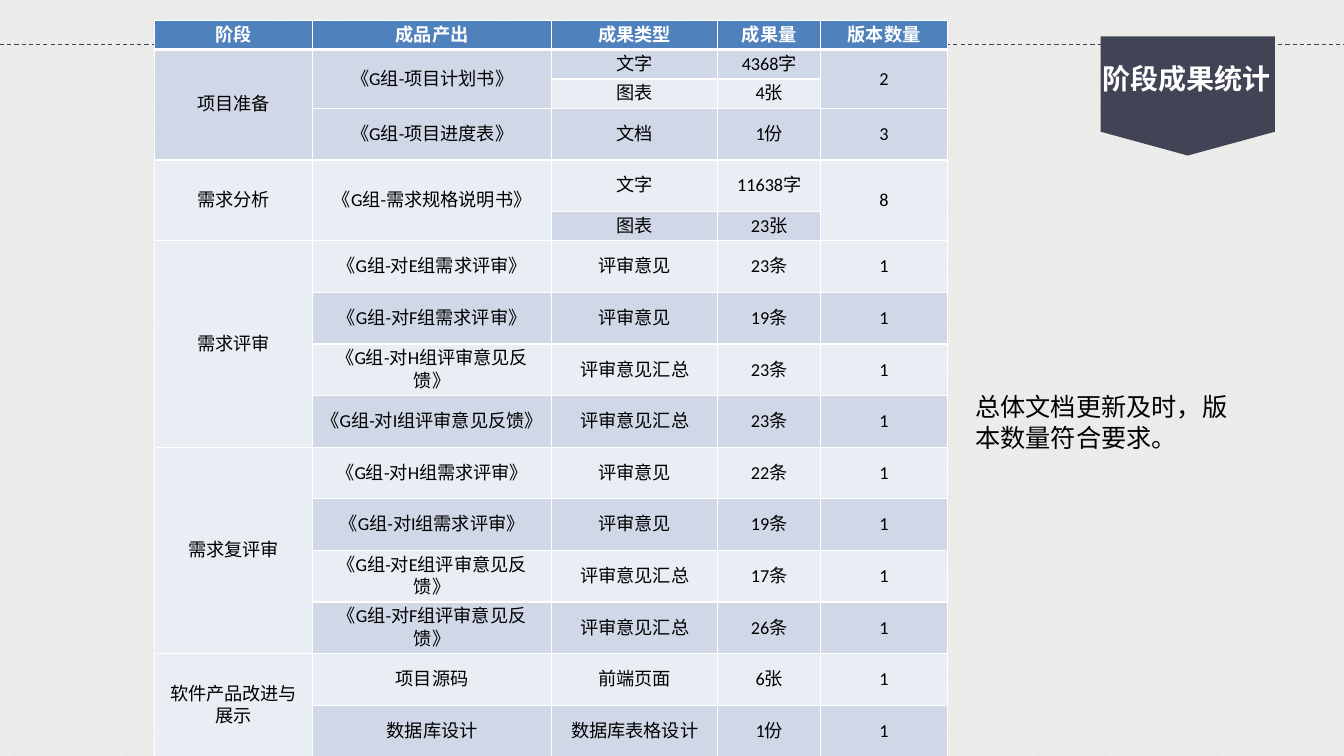
from lxml import etree
from pptx import Presentation
from pptx.dml.color import RGBColor
from pptx.enum.dml import MSO_LINE, MSO_PATTERN
from pptx.enum.shapes import MSO_CONNECTOR, MSO_SHAPE
from pptx.enum.text import MSO_ANCHOR, MSO_AUTO_SIZE, PP_ALIGN
from pptx.oxml.ns import qn
from pptx.util import Cm, Pt

DASH = MSO_LINE.DASH
STRIPES = MSO_PATTERN.LIGHT_UPWARD_DIAGONAL
STRAIGHT = MSO_CONNECTOR.STRAIGHT
BADGE = MSO_SHAPE.FLOWCHART_OFFPAGE_CONNECTOR
MIDDLE, TOP = MSO_ANCHOR.MIDDLE, MSO_ANCHOR.TOP
GROW = MSO_AUTO_SIZE.SHAPE_TO_FIT_TEXT
CENTER = PP_ALIGN.CENTER

TITLE = "阶段成果统计"
NOTE = "总体文档更新及时，版本数量符合要求。"
HEADER = ("阶段", "成品产出", "成果类型", "成果量", "版本数量")
# None continues the cell above
RESULTS = [
    ("项目准备", "《G组-项目计划书》", "文字", "4368字", "2"),
    (None, None, "图表", "4张", None),
    (None, "《G组-项目进度表》", "文档", "1份", "3"),
    ("需求分析", "《G组-需求规格说明书》", "文字", "11638字", "8"),
    (None, None, "图表", "23张", None),
    ("需求评审", "《G组-对E组需求评审》", "评审意见", "23条", "1"),
    (None, "《G组-对F组需求评审》", "评审意见", "19条", "1"),
    (None, "《G组-对H组评审意见反馈》", "评审意见汇总", "23条", "1"),
    (None, "《G组-对I组评审意见反馈》", "评审意见汇总", "23条", "1"),
    ("需求复评审", "《G组-对H组需求评审》", "评审意见", "22条", "1"),
    (None, "《G组-对I组需求评审》", "评审意见", "19条", "1"),
    (None, "《G组-对E组评审意见反馈》", "评审意见汇总", "17条", "1"),
    (None, "《G组-对F组评审意见反馈》", "评审意见汇总", "26条", "1"),
    ("软件产品改进与展示", "项目源码", "前端页面", "6张", "1"),
    (None, "数据库设计", "数据库表格设计", "1份", "1"),
]
COLUMN_WIDTHS = (3.99, 6.02, 4.19, 2.59, 3.2)
SHORT_ROWS = (0, 1, 2, 5)
SHORT, TALL = 0.74, 1.3
BANDS = ("E9EDF4", "D0D8E8")
NAVY, BLUE, WHITE, BLACK = "414455", "4F81BD", "FFFFFF", "000000"
BODY_FONT, TITLE_FONT = "Calibri", "Noto Sans CJK SC"


def color(value):
    return RGBColor.from_string(value)


def style(paragraph, font_name, size, ink, bold=False):
    for run in paragraph.runs:
        font = run.font
        font.name, font.size, font.bold = font_name, Pt(size), bold
        font.color.rgb = color(ink)
        east_asian = etree.SubElement(run.font._element, qn("a:ea"))
        east_asian.set("typeface", BODY_FONT)


def add_text(slide, text, box, size, ink, bold=False, wrap=True, anchor=TOP):
    frame = slide.shapes.add_textbox(*map(Cm, box)).text_frame
    frame.text = text
    frame.word_wrap = wrap
    frame.auto_size = GROW
    frame.vertical_anchor = anchor
    style(frame.paragraphs[0], TITLE_FONT, size, ink, bold)


def add_borders(cell, widths):
    """Draw white borders; widths are points for left, right, top, bottom."""
    properties = cell._tc.get_or_add_tcPr()
    for side, width in zip("LRTB", widths):
        line = etree.SubElement(properties, qn(f"a:ln{side}"), w=str(Pt(width)))
        fill = etree.SubElement(line, qn("a:solidFill"))
        etree.SubElement(fill, qn("a:srgbClr"), val=WHITE)


def add_results_table(slide):
    rows = [HEADER, *RESULTS]
    heights = [SHORT if r in SHORT_ROWS else TALL for r in range(len(rows))]
    table = slide.shapes.add_table(
        len(rows), len(HEADER), Cm(3.89), Cm(0.51),
        Cm(sum(COLUMN_WIDTHS)), Cm(sum(heights))).table
    table.horz_banding = False
    for column, width in zip(table.columns, COLUMN_WIDTHS):
        column.width = Cm(width)
    for r, (row, height) in enumerate(zip(rows, heights)):
        table.rows[r].height = Cm(height)
        for c, text in enumerate(row):
            cell = table.cell(r, c)
            add_borders(cell, (1, 1, 3 if r == 1 else 1, 3 if r == 0 else 1))
            cell.fill.solid()
            cell.fill.fore_color.rgb = color(BANDS[r % 2] if r else BLUE)
            cell.margin_left = cell.margin_right = Cm(0.18)
            cell.margin_top = cell.margin_bottom = Cm(0.09)
            cell.vertical_anchor = MIDDLE if r else TOP
            if text is None:
                continue
            cell.text = text
            paragraph = cell.text_frame.paragraphs[0]
            paragraph.alignment = CENTER
            style(paragraph, BODY_FONT, 13, BLACK if r else WHITE, r == 0)
            last = r
            while last + 1 < len(rows) and rows[last + 1][c] is None:
                last += 1
            if last > r:
                cell.merge(table.cell(last, c))


def main():
    deck = Presentation()
    deck.slide_width, deck.slide_height = Cm(33.87), Cm(19.05)
    slide = deck.slides.add_slide(deck.slide_layouts[6])
    backdrop = slide.background.fill
    backdrop.patterned()
    backdrop.pattern = STRIPES
    backdrop.fore_color.rgb = color(WHITE)
    backdrop.back_color.rgb = color("E8E8E6")

    rule = slide.shapes.add_connector(
        STRAIGHT, 0, Cm(1.12), deck.slide_width, Cm(1.12))
    rule.line.color.rgb = color(NAVY)
    rule.line.width = Pt(0.75)
    rule.line.dash_style = DASH
    etree.SubElement(rule._element.spPr, qn("a:effectLst"))

    badge = slide.shapes.add_shape(BADGE, Cm(27.74), Cm(0.92), Cm(4.39), Cm(3))
    badge.shadow.inherit = False
    badge.fill.solid()
    badge.fill.fore_color.rgb = color(NAVY)
    badge.line.fill.background()

    add_text(slide, TITLE, (27.53, 1.42, 4.78, 1.12), 20, WHITE,
             bold=True, wrap=False)
    add_results_table(slide)
    add_text(slide, NOTE, (24.33, 9.73, 7.39, 1.8), 18, BLACK, anchor=MIDDLE)
    deck.save("out.pptx")


if __name__ == "__main__":
    main()
